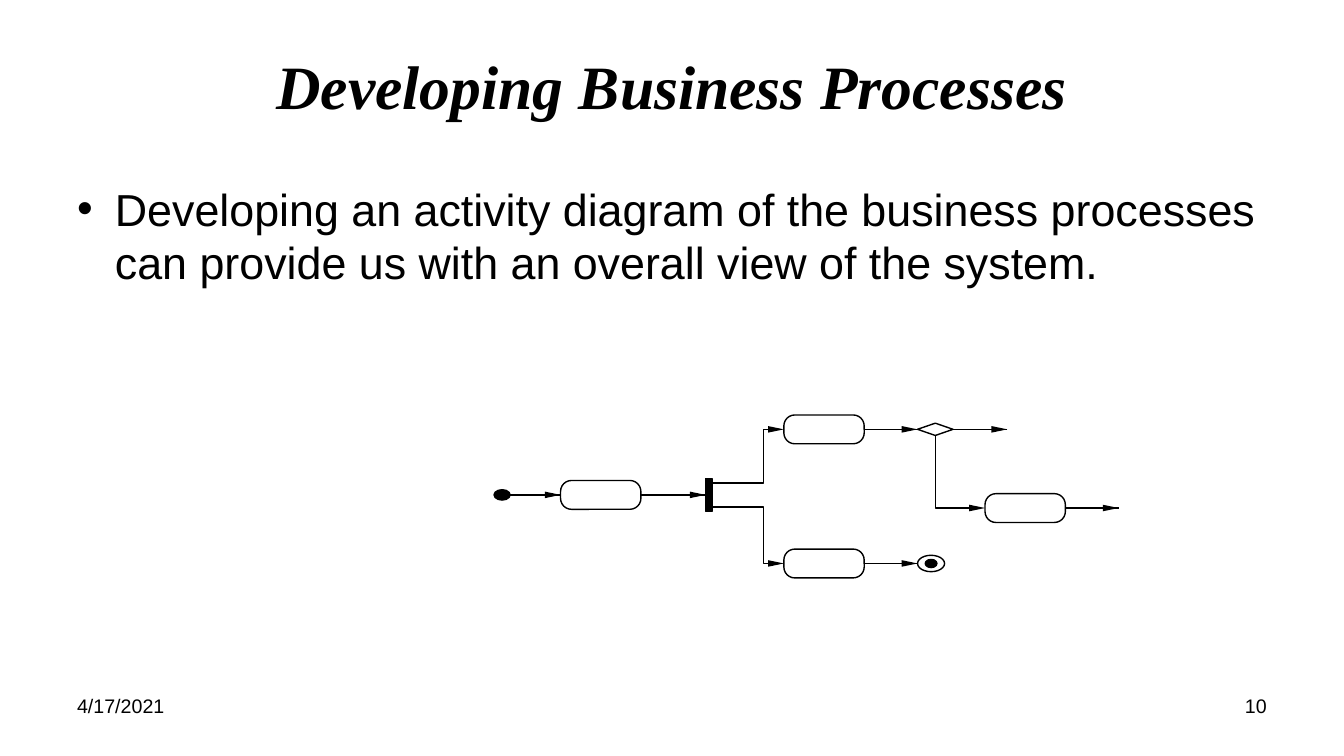
import pptx
import pptx.dml.color
import pptx.enum.shapes
import pptx.enum.text
import pptx.oxml
import pptx.oxml.ns
import pptx.util

Pt = pptx.util.Pt
SHAPE = pptx.enum.shapes.MSO_SHAPE
ALIGN = pptx.enum.text.PP_ALIGN
ANCHOR = pptx.enum.text.MSO_ANCHOR
BLACK, WHITE = "000000", "FFFFFF"

TITLE = "Developing Business Processes"
BODY = ("Developing an activity diagram of the business processes "
        "can provide us with an overall view of the system.")
DATE, NUMBER = "4/17/2021", "10"

TOP, MIDDLE, LOWER, BOTTOM = 306.7, 353.5, 362.9, 402.5
ACTIVITY = (SHAPE.ROUNDED_RECTANGLE, 57.4, 20.6, WHITE)
NODES = {
    "start": (SHAPE.OVAL, 11.5, 7.4, BLACK, 352.9, MIDDLE),
    "first": (*ACTIVITY, 400.4, MIDDLE),
    "fork": (SHAPE.RECTANGLE, 4.6, 23.4, BLACK, 504, MIDDLE),
    "upper": (*ACTIVITY, 559.9, TOP),
    "lower": (*ACTIVITY, 559.9, BOTTOM),
    "decision": (SHAPE.DIAMOND, 25.4, 8.8, WHITE, 655.4, TOP),
    "branch": (*ACTIVITY, 703.6, LOWER),
    "final ring": (SHAPE.OVAL, 19.3, 11.7, WHITE, 655.4, BOTTOM),
    "final dot": (SHAPE.OVAL, 8.4, 5.8, BLACK, 660.9, BOTTOM),
}
STRAIGHT_FLOWS = [
    ("start", "first"), ("first", "fork"), ("upper", "decision"),
    ("lower", "final ring"), ("decision", 719.5), ("branch", 799),
]
BENT_FLOWS = [
    [(508.6, 344.9), (545.2, 344.9), (545.2, TOP), (559.9, TOP)],
    [(508.6, 362.2), (545.2, 362.2), (545.2, BOTTOM), (559.9, BOTTOM)],
    [(668.1, 311.1), (668.1, LOWER), (703.6, LOWER)],
]
HEAD_LENGTH, HEAD_HEIGHT = 11.3, 4.7
LEFT_SIDE, RIGHT_SIDE = 1, 3

presentation = pptx.Presentation()
presentation.slide_width, presentation.slide_height = Pt(960), Pt(540)
slide = presentation.slides.add_slide(presentation.slide_layouts[6])


def color(value):
    return pptx.dml.color.RGBColor.from_string(value)


def add_text(text, box, size, align=ALIGN.LEFT, anchor=ANCHOR.TOP, font="Arial"):
    text_frame = slide.shapes.add_textbox(*map(Pt, box)).text_frame
    text_frame.word_wrap = True
    text_frame.vertical_anchor = anchor
    text_frame.text = text
    paragraph = text_frame.paragraphs[0]
    paragraph.alignment = align
    run_font = paragraph.runs[0].font
    run_font.name, run_font.size = font, Pt(size)
    run_font.color.rgb = color(BLACK)
    return paragraph


def paint(shape, fill=None, line=BLACK):
    shape.shadow.inherit = False
    if fill:
        shape.fill.solid()
        shape.fill.fore_color.rgb = color(fill)
    else:
        shape.fill.background()
    if line:
        shape.line.color.rgb = color(line)
        shape.line.width = Pt(1)
    else:
        shape.line.fill.background()


def add_outline(points, close=False):
    corners = [(Pt(x), Pt(y)) for x, y in points]
    builder = slide.shapes.build_freeform(*corners[0])
    builder.add_line_segments(corners[1:], close=close)
    return builder.convert_to_shape()


def add_head(tip, y):
    back, half = tip - HEAD_LENGTH, HEAD_HEIGHT / 2
    head = add_outline([(back, y - half), (tip, y), (back, y + half)], True)
    paint(head, BLACK, None)


def add_straight_flow(source, target):
    _, width, _, _, left, y = NODES[source]
    tip = NODES[target][4] if target in NODES else target
    connector = slide.shapes.add_connector(
        pptx.enum.shapes.MSO_CONNECTOR.STRAIGHT,
        Pt(left + width), Pt(y), Pt(tip), Pt(y))
    if NODES[source][0] != SHAPE.OVAL:
        connector.begin_connect(shapes[source], RIGHT_SIDE)
    if target in NODES and NODES[target][0] != SHAPE.OVAL:
        connector.end_connect(shapes[target], LEFT_SIDE)
    connector.line.color.rgb = color(BLACK)
    connector.line.width = Pt(1)
    properties = connector._element.spPr
    properties.append(pptx.oxml.parse_xml(
        f"<a:effectLst {pptx.oxml.ns.nsdecls('a')}/>"))
    add_head(tip, y)


title = add_text(TITLE, (48, 21.6, 864, 78), 44, ALIGN.CENTER, ANCHOR.MIDDLE,
                 "Times New Roman")
title.runs[0].font.bold = title.runs[0].font.italic = True

body = add_text(BODY, (48, 126, 864, 356.4), 32)
body_properties = body._p.get_or_add_pPr()
body_properties.set("marL", str(Pt(27)))
body_properties.set("indent", str(-Pt(27)))
for markup in ('<a:spcBef {}><a:spcPct val="20000"/></a:spcBef>',
               '<a:buFont {} typeface="Arial"/>',
               '<a:buChar {} char="•"/>'):
    body_properties.append(pptx.oxml.parse_xml(
        markup.format(pptx.oxml.ns.nsdecls("a"))))

shapes = {}
for name, (kind, width, height, fill, left, center) in NODES.items():
    shape = slide.shapes.add_shape(
        kind, Pt(left), Pt(center - height / 2), Pt(width), Pt(height))
    if kind == SHAPE.ROUNDED_RECTANGLE:
        shape.adjustments[0] = 0.38
    paint(shape, fill)
    shapes[name] = shape

for source, target in STRAIGHT_FLOWS:
    add_straight_flow(source, target)

for *bends, (tip, y) in BENT_FLOWS:
    paint(add_outline([*bends, (tip - HEAD_LENGTH, y)]))
    add_head(tip, y)

add_text(DATE, (48, 492, 224, 37.5), 14)
add_text(NUMBER, (688, 492, 224, 37.5), 14, ALIGN.RIGHT)

presentation.save("out.pptx")
